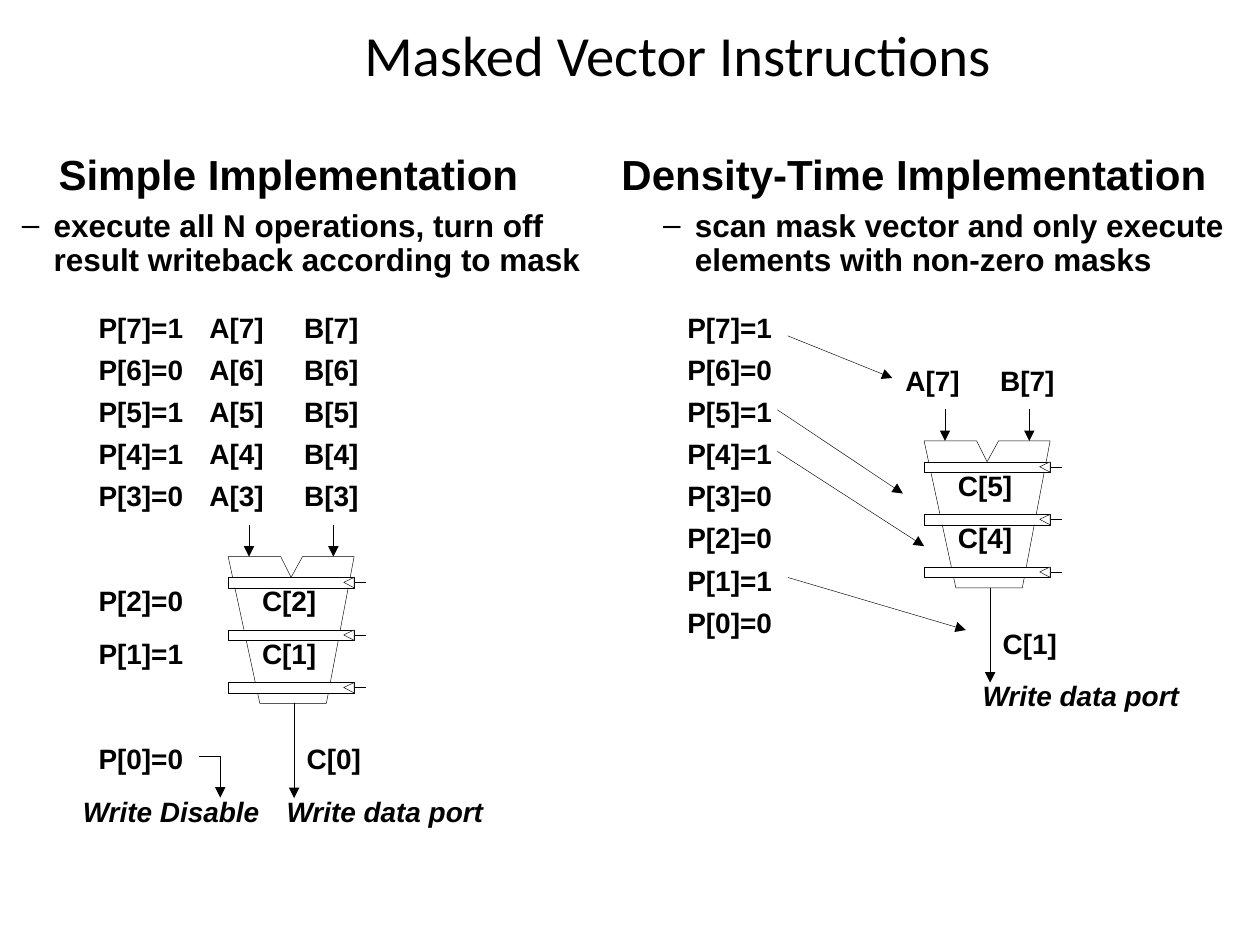
from pptx import Presentation
from pptx.dml.color import RGBColor
from pptx.enum.shapes import MSO_CONNECTOR as LINK, MSO_SHAPE as SHAPE
from pptx.enum.text import MSO_ANCHOR as ANCHOR, MSO_AUTO_SIZE as FIT, PP_ALIGN as ALIGN
from pptx.oxml.ns import qn
from pptx.util import Cm, Pt
from lxml.etree import SubElement

BLACK = RGBColor(0, 0, 0)
WHITE = RGBColor(255, 255, 255)

# All positions are in cm
TOP, STEP = 6.12, 0.85          # first label row and row pitch
HIGH = 0.94                     # label height
WIDE = {"P": 2.24, "A": 1.6, "B": 1.6, "C": 1.6, "W": 4.5}
MASK = [1, 0, 1, 1, 0, 0, 1, 0]  # P[7] down to P[0]
A_DX, B_DX = 0.17, 2.08         # operand centres, from the pipeline's left

TITLE = "Masked Vector Instructions"
HEADS = [  # left, width, heading, detail
    (-1.07, 13.77, "Simple Implementation",
     "execute all N operations, turn off result writeback according to mask"),
    (11.86, 13.13, "Density-Time Implementation",
     "scan mask vector and only execute elements with non-zero masks"),
]
PIPES = [  # left, top, stage labels, result
    (4.6, 11.22, ["C[2]", "C[1]"], "C[0]"),
    (18.63, 8.89, ["C[5]", "C[4]"], "C[1]"),
]
P_MID = [2.84, 14.71]           # centres of the two mask columns
LOW_ROWS = [11.63, 12.7, 14.81]  # P[2], P[1], P[0] on the left
BODY = [(0, 0), (0.64, 2.96), (1.98, 2.96), (2.54, 0), (1.5, 0), (1.27, 0.42), (1.06, 0)]
CLOCK = [(2.54, 0.21), (2.33, 0.1), (2.54, 0)]
REGS = [0.42, 1.48, 2.54]
ELBOW = [(4.02, 15.24), (4.44, 15.24), (4.44, 16.08)]
SCANS = [
    (15.88, 6.77, 17.99, 7.62),
    (15.67, 8.26, 18.2, 9.95),
    (15.67, 9.1, 18.63, 11.01),
    (15.88, 11.64, 19.47, 12.7),
]

prs = Presentation()
prs.slide_width, prs.slide_height = Cm(25.4), Cm(19.05)
shapes = prs.slides.add_slide(prs.slide_layouts[6]).shapes


def ink(line, head=False):
    line.color.rgb = BLACK
    line.width = Pt(0.25)
    if head:
        SubElement(line._get_or_add_ln(), qn("a:tailEnd"), type="triangle")


def paint(shape, fill):
    shape.shadow.inherit = False
    if fill is None:
        shape.fill.background()
    else:
        shape.fill.solid()
        shape.fill.fore_color.rgb = fill


def wire(x1, y1, x2, y2, head=True):
    link = shapes.add_connector(LINK.STRAIGHT, Cm(x1), Cm(y1), Cm(x2), Cm(y2))
    ink(link.line, head)
    SubElement(link._element.spPr, qn("a:effectLst"))


def trace(points, x=0, y=0, fill=None, close=True, head=False):
    """Draw an outline through points shifted by (x, y)."""
    (x0, y0), *rest = [(Cm(x + dx), Cm(y + dy)) for dx, dy in points]
    pen = shapes.build_freeform(x0, y0)
    pen.add_line_segments(rest, close=close)
    shape = pen.convert_to_shape()
    paint(shape, fill)
    ink(shape.line, head)


def frame(x, y, w, h, wrap):
    text = shapes.add_textbox(Cm(x), Cm(y), Cm(w), Cm(h)).text_frame
    text.word_wrap = wrap
    text.vertical_anchor = ANCHOR.MIDDLE
    return text


def style(para, size, name="Arial", bold=True, slant=False):
    font = para.font
    font.size, font.name, font.bold, font.italic = Pt(size), name, bold, slant
    font.color.rgb = BLACK


def label(words, mid, y, slant=False):
    """Put a one-line label centred on mid."""
    wide = WIDE[words[0]]
    text = frame(mid - wide / 2, y, wide, HIGH, False)
    text.auto_size = FIT.SHAPE_TO_FIT_TEXT
    para = text.paragraphs[0]
    para.text, para.alignment = words, ALIGN.CENTER
    style(para, 16, slant=slant)


def head(x, w, name, detail):
    text = frame(x, 2.97, w, 2.77, True)
    top, sub = text.paragraphs[0], text.add_paragraph()
    top.text, top.alignment = name, ALIGN.CENTER
    sub.text, sub.level, sub.space_before = detail, 1, Pt(6)
    props = sub._p.get_or_add_pPr()
    props.set("marL", str(Cm(1.9)))
    props.set("indent", str(Cm(-0.64)))
    top.line_spacing = sub.line_spacing = 0.9
    SubElement(props, qn("a:buFont"), typeface="Arial")
    SubElement(props, qn("a:buChar"), char="–")
    style(top, 24)
    style(sub, 18)


def pipe(x, y, stages, result):
    """Draw the functional unit with its registers, inputs and output."""
    trace(BODY, x, y)
    for dy in REGS:
        reg = shapes.add_shape(SHAPE.RECTANGLE, Cm(x), Cm(y + dy), Cm(2.54), Cm(0.21))
        paint(reg, WHITE)
        ink(reg.line)
        trace(CLOCK, x, y + dy, WHITE)
        wire(x + 2.56, y + dy + 0.1, x + 2.77, y + dy + 0.1, head=False)
    for words, dy in zip(stages, REGS):
        label(words, x + 1.23, y + dy)
    for dx in (0.42, 2.12):
        wire(x + dx, y - 0.64, x + dx, y)
    wire(x + 1.33, y + 2.96, x + 1.33, y + 4.87)
    label(result, x + 2.13, y + 3.6)
    label("Write data port", x + 3.16, y + 4.66, slant=True)


text = frame(3.5, 0.28, 20.32, 1.63, True)
para = text.paragraphs[0]
para.text, para.alignment = TITLE, ALIGN.CENTER
style(para, 32.4, "Calibri", bold=False)

for row in HEADS:
    head(*row)
for unit in PIPES:
    pipe(*unit)

rows = [TOP + i * STEP for i in range(len(MASK))]
for mid, tops in zip(P_MID, [rows[:5] + LOW_ROWS, rows]):
    for i, (bit, y) in enumerate(zip(MASK, tops)):
        label(f"P[{7 - i}]={bit}", mid, y)

left, right = PIPES[0][0], PIPES[1][0]
pairs = [(left, y, 7 - i) for i, y in enumerate(rows[:5])] + [(right, 7.19, 7)]
for x, y, n in pairs:
    label(f"A[{n}]", x + A_DX, y)
    label(f"B[{n}]", x + B_DX, y)

for ends in SCANS:
    wire(*ends)
trace(ELBOW, close=False, head=True)
label("Write Disable", 3.45, 15.88, slant=True)

prs.save("out.pptx")
